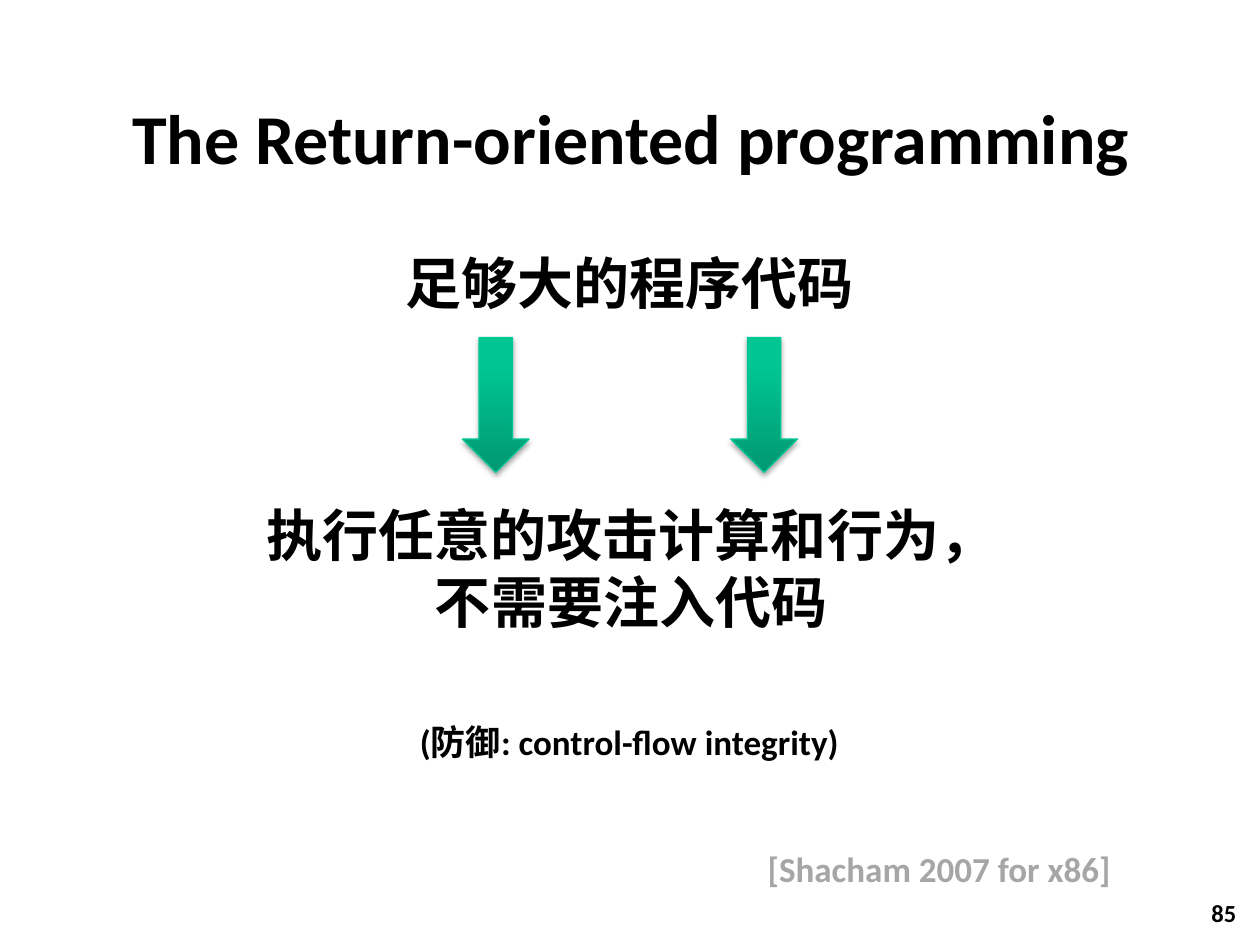
from dataclasses import dataclass

from pptx import Presentation
from pptx import util as u
from pptx.dml.color import RGBColor
from pptx.enum import shapes, text
from pptx.oxml import parse_xml
from pptx.oxml.ns import nsdecls

FONT = "Calibri"
BLACK = "000000"
GREY = "A6A6A6"
EDGE = "00C896"
STOPS = ((0, "009872"), (80, "00C694"), (100, "00C795"))


@dataclass(frozen=True)
class Box:
    left: float
    top: float
    width: float
    height: float

    def place(self) -> tuple:
        return tuple(map(u.Inches, (self.left, self.top, self.width, self.height)))


def hue(code: str) -> RGBColor:
    return RGBColor.from_string(code)


def write(slide, box: Box, *lines: str, size: float = 32, color: str = BLACK,
          align=text.PP_ALIGN.CENTER, anchor=text.MSO_ANCHOR.TOP,
          wrap: bool = True) -> None:
    frame = slide.shapes.add_textbox(*box.place()).text_frame
    frame.word_wrap = wrap
    frame.vertical_anchor = anchor
    for i, line in enumerate(lines):
        para = frame.paragraphs[0] if i == 0 else frame.add_paragraph()
        para.alignment = align
        run = para.add_run()
        run.text = line
        run.font.name = FONT
        run.font.size = u.Pt(size)
        run.font.bold = True
        run.font.color.rgb = hue(color)


def arrow(slide, box: Box) -> None:
    shape = slide.shapes.add_shape(shapes.MSO_SHAPE.DOWN_ARROW, *box.place())
    shape.line.color.rgb = hue(EDGE)
    shape.line.width = u.Pt(0.75)
    stops = "".join(
        f'<a:gs pos="{pos * 1000}"><a:srgbClr val="{hue(code)}"/></a:gs>'
        for pos, code in STOPS
    )
    props = shape.fill._xPr
    props.insert(2, parse_xml(
        f'<a:gradFill {nsdecls("a")} rotWithShape="1"><a:gsLst>{stops}</a:gsLst>'
        '<a:lin ang="16200000" scaled="0"/></a:gradFill>'
    ))
    props.append(parse_xml(
        f'<a:effectLst {nsdecls("a")}><a:outerShdw blurRad="{u.Pt(3.1)}" '
        f'dist="{u.Pt(1.8)}" dir="5400000" rotWithShape="0">'
        f'<a:srgbClr val="{hue(BLACK)}"><a:alpha val="35000"/></a:srgbClr>'
        '</a:outerShdw></a:effectLst>'
    ))


def main() -> None:
    deck = Presentation()
    deck.slide_width, deck.slide_height = u.Inches(10), u.Inches(7.5)
    slide = deck.slides.add_slide(deck.slide_layouts[6])

    write(slide, Box(0.17, 0.46, 9.67, 1.25), "The Return-oriented programming",
          size=40, anchor=text.MSO_ANCHOR.MIDDLE)
    write(slide, Box(3.1, 1.92, 3.79, 0.64), "足够大的程序代码", wrap=False)
    write(slide, Box(1.99, 3.92, 6.04, 1.18),
          "执行任意的攻击计算和行为，", "不需要注入代码", wrap=False)
    write(slide, Box(3.22, 5.67, 3.55, 0.44), "(防御: control-flow integrity)",
          size=20)
    for left in (3.67, 5.8):
        arrow(slide, Box(left, 2.68, 0.53, 1.07))
    write(slide, Box(5.33, 6.68, 4.25, 0.44), "[Shacham 2007 for x86]",
          size=20, color=GREY)
    write(slide, Box(7.83, 7.08, 2.08, 0.5), "85", size=14,
          align=text.PP_ALIGN.RIGHT)

    deck.save("out.pptx")


if __name__ == "__main__":
    main()
